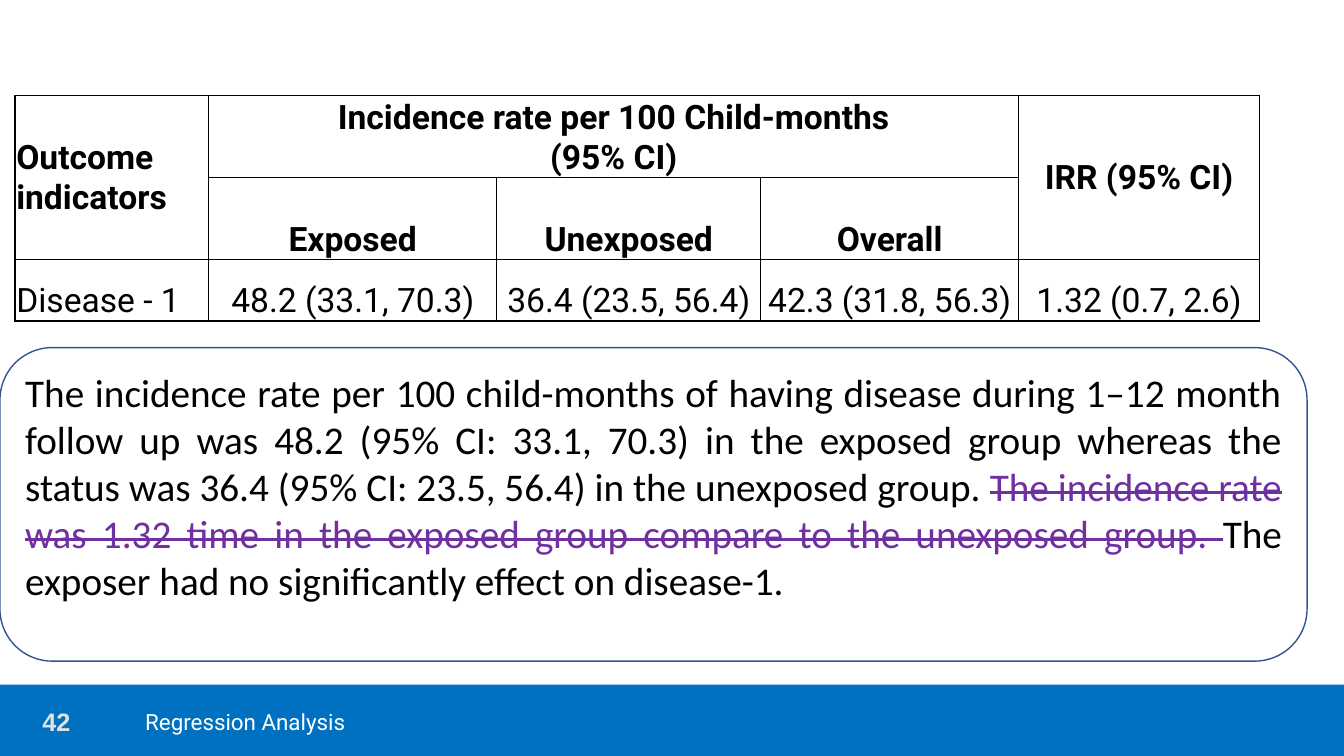
from lxml.etree import SubElement
from pptx import Presentation
from pptx.dml.color import RGBColor
from pptx.enum.shapes import MSO_SHAPE
from pptx.enum.text import MSO_ANCHOR, PP_ALIGN
from pptx.oxml.ns import qn
from pptx.util import Cm, Pt

BLACK, WHITE, BLUE = "000000", "FFFFFF", "0070C0"
COLUMN_WIDTHS = [4.88, 7.26, 6.65, 6.5, 6.07]
ROW_HEIGHTS = [2.06, 2.06, 1.55]
MERGES = [((0, 0), (1, 0)), ((0, 1), (0, 3)), ((0, 4), (1, 4))]
HEADERS = {
    (0, 0): ["Outcome indicators"],
    (0, 1): ["Incidence rate per 100 Child-months", "(95% CI)"],
    (0, 4): ["IRR (95% CI)"],
    (1, 1): ["Exposed"],
    (1, 2): ["Unexposed"],
    (1, 3): ["Overall"],
}
RESULTS = ["Disease - 1", "48.2 (33.1, 70.3)", "36.4 (23.5, 56.4)",
           "42.3 (31.8, 56.3)", "1.32 (0.7, 2.6)"]
INTERPRETATION = [
    ("The incidence rate per 100 child-months of having disease during "
     "1–12 month follow up was 48.2 (95% CI: 33.1, 70.3) in the exposed group "
     "whereas the status was 36.4 (95% CI: 23.5, 56.4) in the unexposed group. ",
     BLACK, False),
    ("The incidence rate was 1.32 time in the exposed group compare to the "
     "unexposed group. ", "7030A0", True),
    ("The exposer had no significantly effect on disease-1.", BLACK, False),
]


def rgb(color):
    return RGBColor.from_string(color)


def add_run(p, text, font, size, color, bold=False, strike=False):
    r = p.add_run()
    r.text = text
    r.font.name, r.font.size, r.font.bold = font, Pt(size), bold
    r.font.color.rgb = rgb(color)
    if strike:
        r._r.get_or_add_rPr().set("strike", "sngStrike")


def add_label(s, left, width, text, font, size, color, bold=False):
    tf = s.shapes.add_textbox(Cm(left), Cm(17.73), Cm(width), Cm(0.89)).text_frame
    tf.margin_left = tf.margin_right = tf.margin_top = tf.margin_bottom = 0
    tf.word_wrap = True
    tf.vertical_anchor = MSO_ANCHOR.MIDDLE
    add_run(tf.paragraphs[0], text, font, size, color, bold)


def add_footer(s):
    band = s.shapes.add_shape(MSO_SHAPE.RECTANGLE, 0, Cm(17.25), Cm(33.87), Cm(1.8))
    band.shadow.inherit = False
    band.fill.solid()
    band.fill.fore_color.rgb = rgb(BLUE)
    band.line.fill.background()
    add_label(s, 1.07, 2.59, "42", "Arial", 18, "E2E2E2", bold=True)
    add_label(s, 3.66, 21.84, "Regression Analysis", "Roboto", 16, WHITE)


def style_cell(cell):
    """Clear the fill, tighten the margins and draw all four borders."""
    cell.margin_left = cell.margin_right = cell.margin_top = Cm(0.03)
    cell.margin_bottom = 0
    tcPr = cell._tc.get_or_add_tcPr()
    for side in ("a:lnL", "a:lnR", "a:lnT", "a:lnB"):
        ln = SubElement(tcPr, qn(side), w=str(Pt(1)))
        SubElement(SubElement(ln, qn("a:solidFill")), qn("a:srgbClr"), val=BLACK)
    cell.fill.background()


def fill_cell(cell, lines, anchor, align, bold):
    cell.vertical_anchor = anchor
    tf = cell.text_frame
    for i, line in enumerate(lines):
        p = tf.add_paragraph() if i else tf.paragraphs[0]
        p.alignment = align
        if not bold:
            p.line_spacing = 1.5
        add_run(p, line, "Roboto", 24, BLACK, bold)


def add_rate_table(s):
    table = s.shapes.add_table(len(ROW_HEIGHTS), len(COLUMN_WIDTHS), Cm(0.38), Cm(2.41),
                               Cm(sum(COLUMN_WIDTHS)), Cm(sum(ROW_HEIGHTS))).table
    table.first_row = table.horz_banding = False
    for column, width in zip(table.columns, COLUMN_WIDTHS):
        column.width = Cm(width)
    for row, height in zip(table.rows, ROW_HEIGHTS):
        row.height = Cm(height)
    for cell in table.iter_cells():
        style_cell(cell)
    for first, last in MERGES:
        table.cell(*first).merge(table.cell(*last))

    texts = HEADERS | {(2, col): [text] for col, text in enumerate(RESULTS)}
    for (row, col), lines in texts.items():
        cell = table.cell(row, col)
        anchor = MSO_ANCHOR.MIDDLE if cell.span_height > 1 else MSO_ANCHOR.BOTTOM
        align = PP_ALIGN.CENTER if col else PP_ALIGN.LEFT
        fill_cell(cell, lines, anchor, align, bold=row < 2)


def add_interpretation(s):
    box = s.shapes.add_shape(MSO_SHAPE.ROUNDED_RECTANGLE, 0, Cm(8.76), Cm(32.94), Cm(7.9))
    box.shadow.inherit = False
    box.fill.background()
    box.line.color.rgb = rgb("325491")
    box.line.width = Pt(1)
    tf = box.text_frame
    tf.word_wrap = True
    tf.vertical_anchor = MSO_ANCHOR.TOP
    p = tf.paragraphs[0]
    p.alignment = PP_ALIGN.JUSTIFY
    for text, color, strike in INTERPRETATION:
        add_run(p, text, "Calibri", 28, color, strike=strike)


def main():
    prs = Presentation()
    prs.slide_width, prs.slide_height = Cm(33.87), Cm(19.05)
    s = prs.slides.add_slide(prs.slide_layouts[6])
    add_footer(s)
    add_rate_table(s)
    add_interpretation(s)
    prs.save("out.pptx")


if __name__ == "__main__":
    main()
